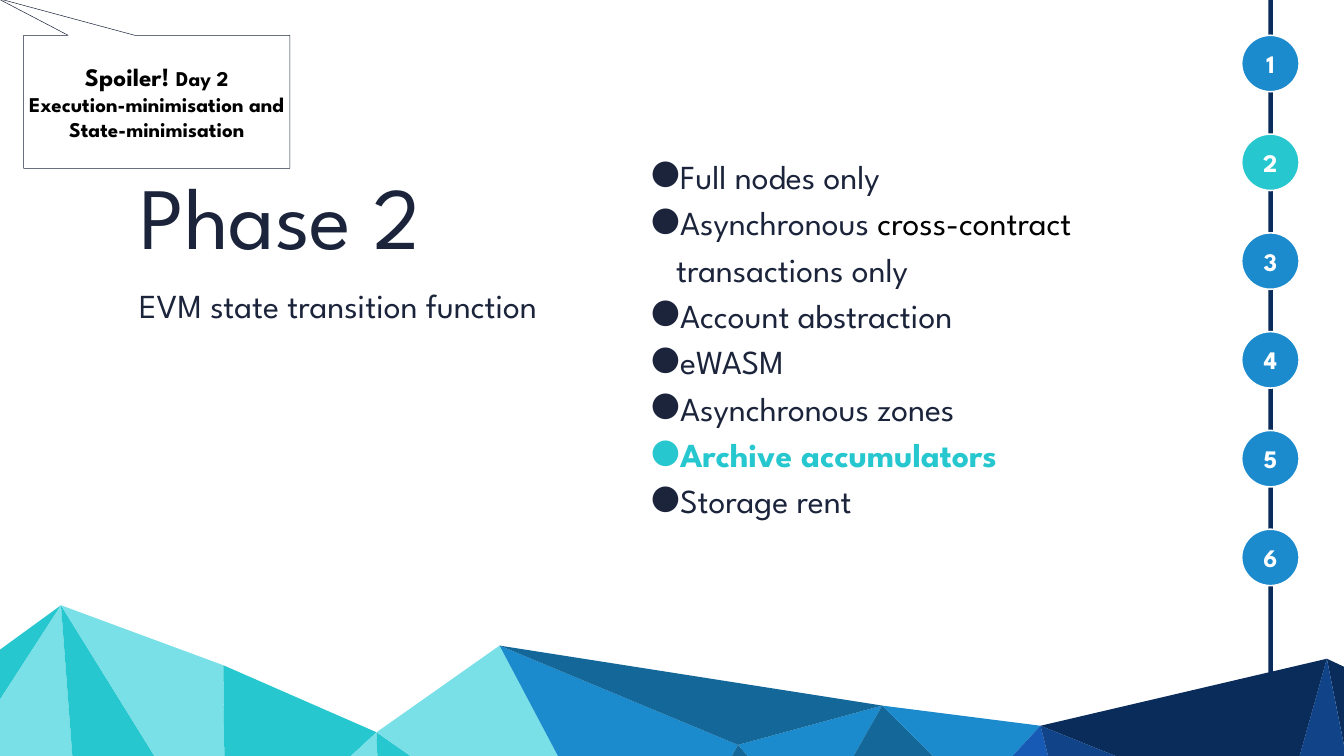
from dataclasses import dataclass

from lxml import etree
from pptx import Presentation
from pptx.dml.color import RGBColor
from pptx.enum.shapes import MSO_SHAPE
from pptx.enum.text import MSO_ANCHOR, MSO_AUTO_SIZE, PP_ALIGN
from pptx.oxml.ns import qn
from pptx.util import Inches, Pt

RECT, OVAL = MSO_SHAPE.RECTANGLE, MSO_SHAPE.OVAL
CALLOUT = MSO_SHAPE.ROUNDED_RECTANGULAR_CALLOUT
TOP, MIDDLE = MSO_ANCHOR.TOP, MSO_ANCHOR.MIDDLE
LEFT, CENTER = PP_ALIGN.LEFT, PP_ALIGN.CENTER
NO_FIT = MSO_AUTO_SIZE.NONE


@dataclass(frozen=True)
class Theme:
    font: str = "League Spartan"
    ink: str = "1B243B"
    black: str = "000000"
    white: str = "FFFFFF"
    teal: str = "27C7CF"
    aqua: str = "78E0E6"
    blue: str = "1B8BCD"
    steel: str = "146899"
    royal: str = "165AB6"
    deep: str = "104388"
    navy: str = "0A2C5B"
    title: int = 125
    body: int = 48
    label: int = 36
    note: int = 30


T = Theme()

# Corners of the hills, in inches from the top left of their box
POINTS = {
    "edge": (0, 0.89), "side": (0, 1.88), "base": (0, 4.64),
    "peak1": (1.21, 0.01), "slope": (4.43, 1.2), "dip1": (7.47, 2.53),
    "peak2": (9.91, 0.81), "dip2": (14.64, 2.78), "ridge": (17.5, 2),
    "dip3": (20.64, 2.4), "peak3": (26.32, 1.07),
    "f1": (1.56, 4.64), "f2": (4.08, 4.64), "f3": (4.47, 4.64),
    "f4": (5.18, 4.64), "f5": (7.54, 4.64), "f6": (10.5, 4.64),
    "f7": (11.94, 4.65), "f8": (13.6, 4.67), "f9": (15.71, 4.68),
    "f10": (16.1, 4.47), "f11": (19.33, 3.81), "f12": (20.28, 4.71),
    "f13": (21.22, 4.71), "f14": (24.41, 4.71), "f15": (25.41, 4.32),
    "f16": (26, 4.71), "end1": (26.81, 1.3), "end2": (26.81, 3.55),
    "end3": (26.81, 4.71),
}
FACETS = [
    (T.teal, "peak1 edge side"),
    (T.aqua, "f1 peak1 side base"),
    (T.teal, "f2 peak1 f1"),
    (T.aqua, "f3 slope peak1 f2"),
    (T.teal, "f4 dip1 slope f3"),
    (T.aqua, "f5 dip1 f4"),
    (T.teal, "f6 dip1 f5"),
    (T.aqua, "f7 peak2 dip1 f6"),
    (T.blue, "f8 dip2 peak2 f7"),
    (T.blue, "dip2 f10 ridge"),
    (T.steel, "f10 f11 ridge"),
    (T.blue, "ridge f11 dip3"),
    (T.royal, "f13 dip3 f11 f12"),
    (T.navy, "dip3 f15 peak3"),
    (T.deep, "f14 f15 dip3 f13"),
    (T.navy, "end1 peak3 end2"),
    (T.deep, "end3 end2 peak3 f15 f16"),
    (T.steel, "peak2 ridge dip2"),
    (T.steel, "f9 f10 dip2 f8"),
]
BULLETS = [
    [("Full nodes only", T.ink, False)],
    [("Asynchronous ", T.ink, False), ("cross-contract ", T.black, False),
     ("transactions only", T.ink, False)],
    [("Account abstraction", T.ink, False)],
    [("eWASM", T.ink, False)],
    [("Asynchronous zones", T.ink, False)],
    [("Archive accumulators", T.teal, True)],
    [("Storage rent", T.ink, False)],
]


def rgb(code):
    return RGBColor.from_string(code)


def style(run, size, color, bold=False):
    font = run.font
    font.name, font.size, font.bold = T.font, Pt(size), bold
    font.color.rgb = rgb(color)


def paint(shape, fill, line=None, width=0):
    shape.shadow.inherit = False
    shape.fill.solid()
    shape.fill.fore_color.rgb = rgb(fill)
    if line:
        shape.line.color.rgb = rgb(line)
        shape.line.width = Pt(width)
    else:
        shape.line.fill.background()


def add_box(slide, kind, box):
    """Add a preset shape whose text sits in the middle."""
    shape = slide.shapes.add_shape(kind, *map(Inches, box))
    frame = shape.text_frame
    frame.word_wrap, frame.vertical_anchor = True, MIDDLE
    frame.margin_left = frame.margin_right = Inches(0.1)
    frame.margin_top = frame.margin_bottom = Inches(0.1)
    frame.paragraphs[0].alignment = CENTER
    return shape


def place(holder, box):
    """Move a placeholder to a box and return its text frame."""
    holder.left, holder.top, holder.width, holder.height = map(Inches, box)
    frame = holder.text_frame
    frame.word_wrap, frame.auto_size = True, NO_FIT
    frame.vertical_anchor = TOP
    return frame


def add_line(holder, box, text, size, gap):
    frame = place(holder, box)
    frame.text = text
    par = frame.paragraphs[0]
    par.alignment, par.line_spacing, par.space_before = LEFT, gap, Pt(0)
    style(par.runs[0], size, T.ink)


def set_bullet(par, color):
    props = par._p.get_or_add_pPr()
    props.set("marL", str(Inches(0.5)))
    props.set("indent", str(Inches(-0.58)))
    tint = etree.SubElement(props, qn("a:buClr"))
    etree.SubElement(tint, qn("a:srgbClr"), val=color)
    etree.SubElement(props, qn("a:buFont"), typeface=T.font)
    etree.SubElement(props, qn("a:buChar"), char="●")


def add_list(holder, box, items):
    frame = place(holder, box)
    frame.text = "\n".join([""] * len(items))
    for par, parts in zip(frame.paragraphs, items):
        set_bullet(par, parts[0][1])
        par.line_spacing, par.space_before = 1.15, Pt(0)
        for text, color, bold in parts:
            run = par.add_run()
            run.text = text
            style(run, T.body, color, bold)


def add_hills(slide, box):
    left, top = box
    group = slide.shapes.add_group_shape()
    for color, names in FACETS:
        start, *rest = [(Inches(left + x), Inches(top + y))
                        for x, y in map(POINTS.get, names.split())]
        path = group.shapes.build_freeform(*start)
        path.add_line_segments(rest, close=True)
        paint(path.convert_to_shape(), color)


def add_steps(slide, box, count, active):
    """Draw the vertical bar with its numbered discs."""
    left, top, width, height = box
    bar = add_box(slide, RECT, (left + 0.53, top, 0.09, height))
    paint(bar, T.navy)
    for i in range(count):
        disc = add_box(slide, OVAL, (left, top + 0.7 + i * 1.96, width, 1.12))
        paint(disc, T.teal if i + 1 == active else T.blue, T.white, 2.25)
        par = disc.text_frame.paragraphs[0]
        par.text = str(i + 1)
        style(par.runs[0], T.label, T.white, True)


def add_note(slide, box):
    note = add_box(slide, CALLOUT, box)
    for i, value in enumerate((-0.599, -0.778, 0)):
        note.adjustments[i] = value
    paint(note, T.white, T.ink, 0.75)
    par = note.text_frame.paragraphs[0]
    par.text = "Spoiler! "
    par.add_run().text = "Day 2"
    par.add_line_break()
    par.add_run().text = "Execution-minimisation and State-minimisation"
    for run, size in zip(par.runs, (T.label, T.note, T.note)):
        style(run, size, T.black, True)


def main():
    deck = Presentation()
    deck.slide_width, deck.slide_height = Inches(26.66), Inches(15)
    slide = deck.slides.add_slide(deck.slide_layouts.get_by_name("Content with Caption"))
    title, body, caption = slide.placeholders
    for holder in list(slide.placeholders):
        if holder.placeholder_format.idx > 2:
            holder._element.getparent().remove(holder._element)
    add_hills(slide, (0, 12))
    add_line(title, (2.66, 3.3, 10.36, 3.54), "Phase 2", T.title, 0.96)
    add_list(body, (12.81, 2.92, 10.36, 2.37), BULLETS)
    add_steps(slide, (24.63, 0, 1.14, 15), 6, 2)
    add_line(caption, (2.66, 5.29, 11.14, 1.54),
             "EVM state transition function", T.body, 1.4)
    add_note(slide, (0.47, 0.7, 5.28, 2.64))
    deck.save("out.pptx")


if __name__ == "__main__":
    main()
